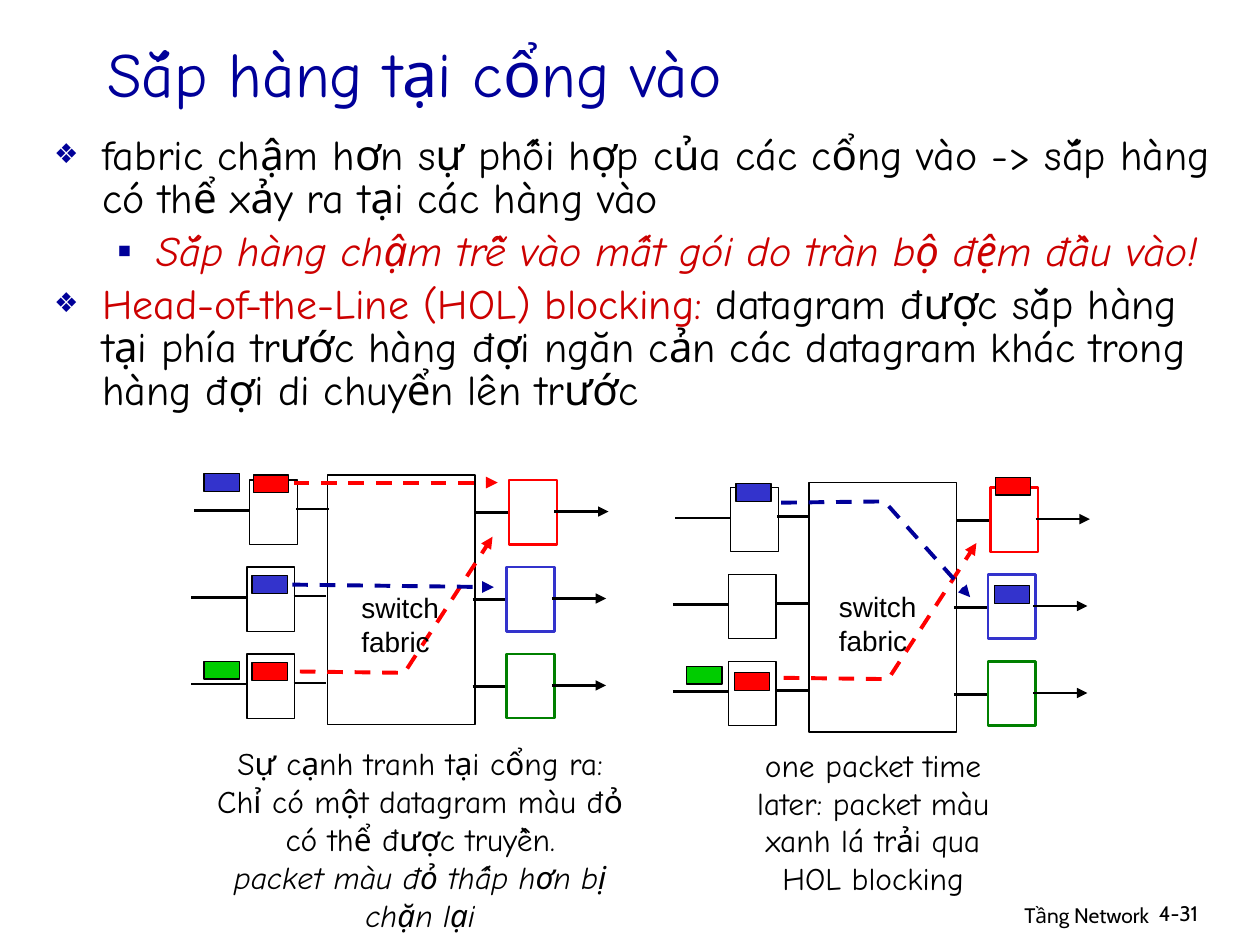
from lxml import etree
from pptx import Presentation
from pptx import util as u
from pptx.dml.color import RGBColor
from pptx.enum import dml, shapes, text
from pptx.oxml.ns import qn

BLACK, WHITE, RED, BLUE, NAVY = "000000", "FFFFFF", "FF0000", "3333CC", "000099"
GREEN, LIME, CRIMSON = "008000", "00CC00", "CC0000"
HAND, SANS, FOOT = "Comic Neue", "Arial", "Cabin"

# Runs are (text, colour, italic); "\n" is a line break
TITLE = [[("Sắp hàng tại cổng vào", NAVY, False)]]
BULLETS = [
    (0, [("fabric chậm hơn sự phối hợp của các cổng vào -> sắp hàng có thể xảy ra "
          "tại các hàng vào", BLACK, False)]),
    (1, [("Sắp hàng chậm trễ vào mất gói do tràn bộ đệm đầu vào!", CRIMSON, True)]),
    (0, [("Head-of-the-Line (HOL) blocking:", CRIMSON, False),
         (" datagram được sắp hàng tại phía trước hàng đợi ngăn cản các datagram "
          "khác trong hàng đợi di chuyển lên trước", BLACK, False)]),
]
# Per level: left margin, hanging indent, bullet, bullet size in %
LEVELS = [(0.38, 0.38, "❖", 65), (0.81, 0.31, "▪", 100)]
FOOTER = [((6.05, 7.11, 3.17, 0.31), "Tầng Network", "RIGHT"),
          ((9.1, 7.1, 0.74, 0.3), "4-31", "LEFT")]

# Switch: inputs, fabric and outputs, measured from the fabric's corner
FABRIC = (1.17, 1.98)
PORT = (0.38, 0.51)
PACKET = (0.28, 0.14)
LABEL = (0.95, 0.64)
ROW_PITCH = 0.69
TOP_ROW_SHIFT = 0.02
PORT_TOP = 0.04
IN_X, OUT_X = -0.64, 1.42
# Wires: start, end, height in the row, arrowhead
WIRES = [(-1.08, -0.64, 0.28, False), (-0.27, -0.01, 0.27, False),
         (1.15, 1.41, 0.3, False), (1.78, 2.21, 0.29, True)]
OUTPUTS = [RED, BLUE, GREEN]

DIAGRAMS = [
    dict(origin=(2.6, 3.77), label=(2.77, 4.64),
         packets=[(2.01, 3.77, RED), (2, 4.57, BLUE), (2, 5.26, RED),
                  (1.62, 3.76, BLUE), (1.62, 5.25, LIME)],
         routes=[(RED, [(2.33, 3.83), (3.95, 3.83)]),
                 (RED, [(2.38, 5.33), (3.21, 5.34), (3.91, 4.26)]),
                 (NAVY, [(2.32, 4.64), (3.92, 4.66)])],
         caption_at=(1.48, 5.86, 3.71, 1.6),
         caption=[[("Sự cạnh tranh tại cổng ra:", BLACK, False)],
                  [("Chỉ có một datagram màu đỏ có thể được truyền.", BLACK, False),
                   ("\n", BLACK, False),
                   ("packet màu đỏ thấp hơn bị chặn lại", BLACK, True)]]),
    dict(origin=(6.42, 3.83), label=(6.56, 4.63),
         packets=[(7.9, 3.79, RED), (5.84, 3.84, BLUE), (5.83, 5.34, RED),
                  (5.45, 5.29, LIME), (7.89, 4.65, BLUE)],
         routes=[(RED, [(6.22, 5.38), (7.05, 5.39), (7.75, 4.31)]),
                 (NAVY, [(6.2, 3.99), (7.02, 3.98), (7.7, 4.74)])],
         caption_at=(5.71, 5.87, 2.44, 1.3),
         caption=[[("one packet time later: packet màu xanh lá trải qua HOL blocking",
                    BLACK, False)]]),
]


def rgb(value):
    return RGBColor.from_string(value)


def inches(values):
    return [u.Inches(v) for v in values]


def place(sp, box):
    sp.left, sp.top, sp.width, sp.height = inches(box)


def write(p, runs, font, size, align="LEFT"):
    p.alignment = getattr(text.PP_ALIGN, align)
    for content, color, italic in runs:
        if content == "\n":
            p.add_line_break()
            continue
        r = p.add_run()
        r.text = content
        r.font.name, r.font.size, r.font.italic = font, u.Pt(size), italic
        r.font.color.rgb = rgb(color)


def fill_frame(tf, paragraphs, font, size, align="LEFT"):
    for i, runs in enumerate(paragraphs):
        p = tf.add_paragraph() if i else tf.paragraphs[0]
        write(p, runs, font, size, align)


def add_text(parent, box, paragraphs, font, size, align="LEFT"):
    tf = parent.add_textbox(*inches(box)).text_frame
    tf.word_wrap = True
    fill_frame(tf, paragraphs, font, size, align)


def add_bullet(p, level):
    left, hang, char, percent = LEVELS[level]
    p.level = level
    pPr = p._p.get_or_add_pPr()
    pPr.set("marL", str(u.Inches(left)))
    pPr.set("indent", str(-u.Inches(hang)))
    clr = etree.SubElement(pPr, qn("a:buClr"))
    etree.SubElement(clr, qn("a:srgbClr"), val=NAVY)
    etree.SubElement(pPr, qn("a:buSzPct"), val=str(percent * 1000))
    etree.SubElement(pPr, qn("a:buChar"), char=char)


def add_rect(parent, box, fill, line=BLACK, width=0.75):
    sp = parent.add_shape(shapes.MSO_SHAPE.RECTANGLE, *inches(box))
    sp.shadow.inherit = False
    sp.fill.solid()
    sp.fill.fore_color.rgb = rgb(fill)
    sp.line.color.rgb = rgb(line)
    sp.line.width = u.Pt(width)


def add_path(parent, points, color, width, dashed=False, arrow=True):
    """Draw a connector through two points, or an open outline through more."""
    start, *rest = [inches(point) for point in points]
    if len(rest) == 1:
        sp = parent.add_connector(shapes.MSO_CONNECTOR.STRAIGHT, *start, *rest[0])
    else:
        builder = parent.build_freeform(*start)
        builder.add_line_segments(rest, close=False)
        sp = builder.convert_to_shape()
        sp.fill.background()
    sp.line.color.rgb = rgb(color)
    sp.line.width = u.Pt(width)
    if dashed:
        sp.line.dash_style = dml.MSO_LINE.DASH
    if arrow:
        ln = sp.element.spPr.find(qn("a:ln"))
        etree.SubElement(ln, qn("a:tailEnd"), type="triangle")
    etree.SubElement(sp.element.spPr, qn("a:effectLst"))


def draw_switch(parent, d):
    x, y = d["origin"]
    add_rect(parent, (x, y) + FABRIC, WHITE)
    for row, color in enumerate(OUTPUTS):
        dx = x if row else x + TOP_ROW_SHIFT
        dy = y + row * ROW_PITCH
        add_rect(parent, (dx + IN_X, dy + PORT_TOP) + PORT, WHITE)
        add_rect(parent, (dx + OUT_X, dy + PORT_TOP) + PORT, WHITE, color, 1.5)
        for x1, x2, wire_y, arrow in WIRES:
            ends = [(dx + x1, dy + wire_y), (dx + x2, dy + wire_y)]
            add_path(parent, ends, BLACK, 1.5, arrow=arrow)
    for px, py, color in d["packets"]:
        add_rect(parent, (px, py) + PACKET, color)
    for color, points in d["routes"]:
        add_path(parent, points, color, 2.25, dashed=True)
    label = [[(word, BLACK, False)] for word in ("switch", "fabric")]
    add_text(parent, d["label"] + LABEL, label, SANS, 16)
    add_text(parent, d["caption_at"], d["caption"], HAND, 18, "CENTER")


def main():
    prs = Presentation()
    prs.slide_width, prs.slide_height = inches((10, 7.5))
    s = prs.slides.add_slide(prs.slide_layouts[1])

    title, body = s.shapes.title, s.placeholders[1]
    place(title, (0.75, 0.32, 8.5, 0.5))
    place(body, (0.33, 1.03, 9.44, 2.48))
    for sp in (title, body):
        sp.text_frame.auto_size = text.MSO_AUTO_SIZE.NONE
    title.text_frame.vertical_anchor = text.MSO_ANCHOR.MIDDLE
    fill_frame(title.text_frame, TITLE, HAND, 36)

    tf = body.text_frame
    for i, (level, runs) in enumerate(BULLETS):
        p = tf.add_paragraph() if i else tf.paragraphs[0]
        add_bullet(p, level)
        p.line_spacing = 0.85
        p.space_before = u.Pt(6 if i else 0)
        write(p, runs, HAND, 24)

    for d in DIAGRAMS:
        draw_switch(s.shapes.add_group_shape().shapes, d)
    for box, content, align in FOOTER:
        add_text(s.shapes, box, [[(content, BLACK, False)]], FOOT, 12, align)
    prs.save("out.pptx")


if __name__ == "__main__":
    main()
